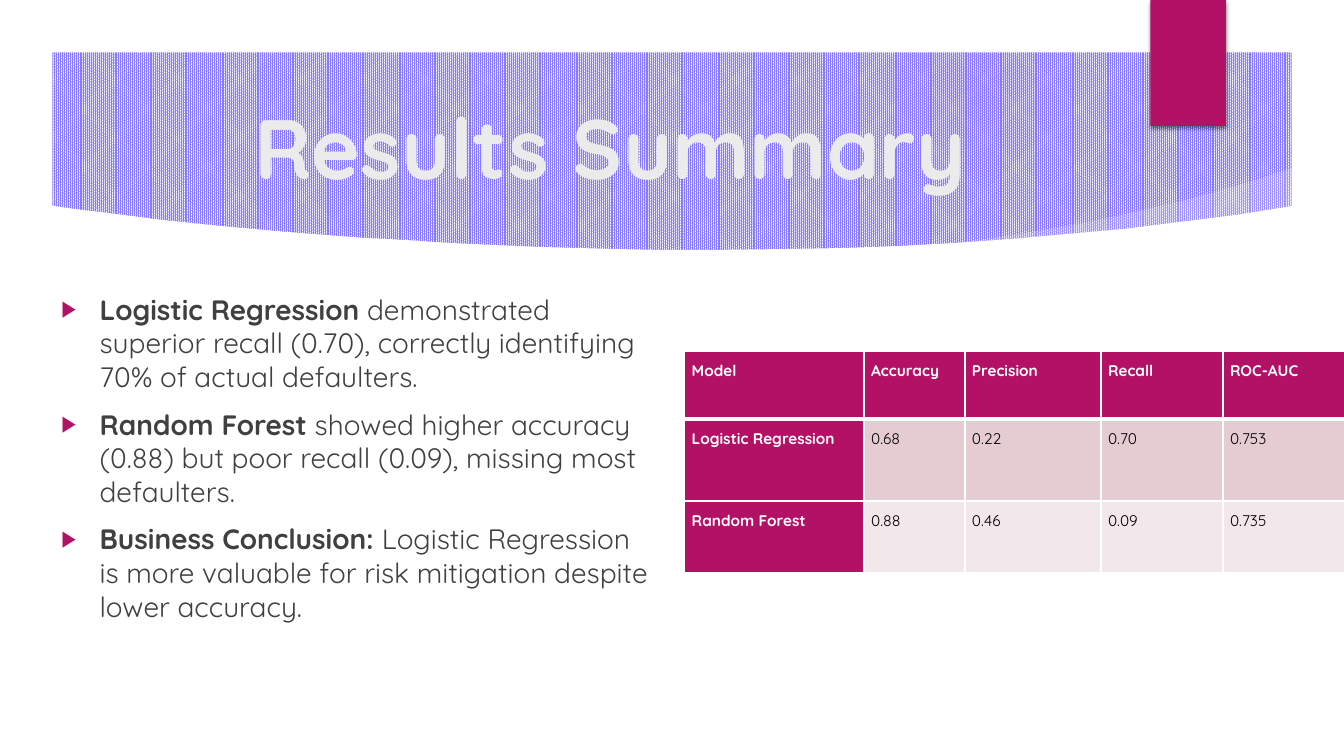
from lxml.etree import SubElement
from pptx import Presentation
from pptx.dml.color import RGBColor
from pptx.enum.dml import MSO_PATTERN
from pptx.enum.shapes import MSO_SHAPE
from pptx.enum.text import MSO_ANCHOR, MSO_AUTO_SIZE, PP_ALIGN
from pptx.oxml import parse_xml
from pptx.oxml.ns import nsdecls, qn
from pptx.util import Inches, Pt

FONT = "Quicksand"
WHITE = RGBColor(0xFF, 0xFF, 0xFF)
BLACK = RGBColor(0x00, 0x00, 0x00)
PERIWINKLE = RGBColor(0x89, 0x7A, 0xFA)
VIOLET = RGBColor(0x9B, 0x6B, 0xF2)
MAGENTA = RGBColor(0xB3, 0x11, 0x66)
TITLE_GREY = RGBColor(0xEB, 0xEB, 0xEB)
TEXT_GREY = RGBColor(0x40, 0x40, 0x40)
ROW_FILLS = [RGBColor(0xE5, 0xCC, 0xD3), RGBColor(0xF2, 0xE7, 0xEA)]

# Left, top, diameter, then (position, opacity) in percent
GLOWS = [
    (9.41, 1.83, 3.08, [(0, 7), (36, 6), (69, 0)]),
    (8.75, 0.01, 1.75, [(0, 14), (36, 7), (73, 0)]),
]
SWOOSH = [(9.34, 2.5), (11, 2.38), (12.89, 2.14), (12.83, 1.66), (12.48, 1.78),
          (12.13, 1.88), (11.78, 1.98), (11.44, 2.06), (11.09, 2.14),
          (10.75, 2.21), (10.42, 2.27), (10.1, 2.32), (9.79, 2.37), (9.3, 2.43)]
PANEL = [(0.5, 2.04), (0.5, 7), (12.84, 7), (12.84, 2.04), (12.28, 2.13),
         (11.72, 2.2), (11.16, 2.27), (10.6, 2.32), (10.04, 2.37), (9.49, 2.41),
         (8.94, 2.44), (8.4, 2.46), (7.86, 2.47), (7.08, 2.48), (6.57, 2.48),
         (6.07, 2.47), (5.35, 2.45), (4.88, 2.43), (4.44, 2.41), (4.01, 2.38),
         (3.6, 2.36), (3.21, 2.33), (2.83, 2.3), (2.16, 2.24), (1.59, 2.18),
         (1.13, 2.12), (0.79, 2.08)]

FINDINGS = [
    ("Logistic Regression",
     " demonstrated superior recall (0.70), correctly identifying 70% of actual defaulters."),
    ("Random Forest",
     " showed higher accuracy (0.88) but poor recall (0.09), missing most defaulters."),
    ("Business Conclusion:",
     " Logistic Regression is more valuable for risk mitigation despite lower accuracy."),
]
SCORES = [
    ["Model", "Accuracy", "Precision", "Recall", "ROC-AUC"],
    ["Logistic Regression", "0.68", "0.22", "0.70", "0.753"],
    ["Random Forest", "0.88", "0.46", "0.09", "0.735"],
]
COLUMN_WIDTHS = [1.78, 1, 1.35, 1.21, 1.21]
ROW_HEIGHTS = [0.67, 0.81, 0.71]


def add_run(p, text, size, color, bold=False):
    r = p.add_run()
    r.text = text
    r.font.name = FONT
    r.font.size = Pt(size)
    r.font.bold = bold
    r.font.color.rgb = color


def paint(sp, color):
    sp.fill.solid()
    sp.fill.fore_color.rgb = color
    sp.line.fill.background()
    sp.shadow.inherit = False
    return sp


def add_preset(s, kind, left, top, width, height, color):
    sp = s.shapes.add_shape(kind, Inches(left), Inches(top), Inches(width), Inches(height))
    return paint(sp, color)


def add_outline(s, points, color):
    corners = [(Inches(x), Inches(y)) for x, y in points]
    builder = s.shapes.build_freeform(*corners[0])
    builder.add_line_segments(corners[1:])
    return paint(builder.convert_to_shape(), color)


def add_glow(s, left, top, size, stops):
    sp = add_preset(s, MSO_SHAPE.OVAL, left, top, size, size, VIOLET)
    stops_xml = "".join(
        f'<a:gs pos="{pos * 1000}"><a:srgbClr val="{VIOLET}">'
        f'<a:alpha val="{alpha * 1000}"/></a:srgbClr></a:gs>' for pos, alpha in stops)
    solid = sp._element.spPr.find(qn("a:solidFill"))
    solid.getparent().replace(solid, parse_xml(
        f'<a:gradFill {nsdecls("a")}><a:gsLst>{stops_xml}</a:gsLst><a:path path="circle">'
        '<a:fillToRect l="50000" t="50000" r="50000" b="50000"/></a:path></a:gradFill>'))


def set_opacity(sp, percent):
    color = sp._element.spPr.find(qn("a:solidFill"))[0]
    SubElement(color, qn("a:alpha"), val=str(percent * 1000))


def add_drop_shadow(sp):
    effects = sp._element.spPr.find(qn("a:effectLst"))
    effects.append(parse_xml(
        f'<a:outerShdw {nsdecls("a")} blurRad="{Pt(3)}" dist="{Pt(2)}" dir="5400000" '
        'algn="t" rotWithShape="0"><a:srgbClr val="000000"><a:alpha val="45000"/>'
        '</a:srgbClr></a:outerShdw>'))


def add_title(s, text):
    title = s.shapes.title
    title.left, title.top = Inches(1.26), Inches(1.06)
    title.width, title.height = Inches(9.58), Inches(0.77)
    tf = title.text_frame
    tf.word_wrap = True
    tf.auto_size = MSO_AUTO_SIZE.NONE
    tf.vertical_anchor = MSO_ANCHOR.MIDDLE
    p = tf.paragraphs[0]
    p.alignment = PP_ALIGN.CENTER
    add_run(p, text, 60, TITLE_GREY, bold=True)
    s.shapes._spTree.append(title._element)  # bring in front of the band


def add_bullet(p):
    pPr = p._p.get_or_add_pPr()
    pPr.set("marL", str(Inches(0.38)))
    pPr.set("indent", str(-Inches(0.38)))
    color = SubElement(pPr, qn("a:buClr"))
    SubElement(color, qn("a:srgbClr"), val=str(MAGENTA))
    SubElement(pPr, qn("a:buSzPct"), val="80000")
    SubElement(pPr, qn("a:buFont"), typeface="Arial")
    SubElement(pPr, qn("a:buChar"), char="▶")


def add_findings(s):
    box = s.shapes.add_textbox(Inches(0.51), Inches(2.85), Inches(6.03), Inches(3.74))
    tf = box.text_frame
    tf.word_wrap = True
    for i, (lead, detail) in enumerate(FINDINGS):
        p = tf.add_paragraph() if i else tf.paragraphs[0]
        p.space_before = Pt(10)
        add_bullet(p)
        add_run(p, lead, 20, TEXT_GREY, bold=True)
        add_run(p, detail, 20, TEXT_GREY)


def add_borders(cell, **widths):
    tcPr = cell._tc.get_or_add_tcPr()
    for side in "LRTB":
        ln = SubElement(tcPr, qn(f"a:ln{side}"), w=str(Pt(widths.get(side, 1))))
        SubElement(SubElement(ln, qn("a:solidFill")), qn("a:srgbClr"), val=str(WHITE))


def add_scores(s):
    frame = s.shapes.add_table(len(SCORES), len(COLUMN_WIDTHS), Inches(6.79), Inches(3.49),
                               Inches(sum(COLUMN_WIDTHS)), Inches(sum(ROW_HEIGHTS)))
    table = frame.table
    for column, width in zip(table.columns, COLUMN_WIDTHS):
        column.width = Inches(width)
    for row, height in zip(table.rows, ROW_HEIGHTS):
        row.height = Inches(height)
    for i, values in enumerate(SCORES):
        for j, value in enumerate(values):
            cell = table.cell(i, j)
            heading = i == 0 or j == 0
            add_borders(cell, T=3 if i == 1 else 1, B=3 if i == 0 else 1)
            cell.fill.solid()
            cell.fill.fore_color.rgb = MAGENTA if heading else ROW_FILLS[i - 1]
            cell.margin_left = cell.margin_right = Inches(0.07)
            cell.margin_top = cell.margin_bottom = 0
            p = cell.text_frame.paragraphs[0]
            p.alignment = PP_ALIGN.JUSTIFY
            p.line_spacing = 1.5
            p.space_after = Pt(8)
            add_run(p, value, 11, WHITE if heading else BLACK, bold=heading)


def main():
    prs = Presentation()
    prs.slide_width, prs.slide_height = Inches(13.33), Inches(7.5)
    s = prs.slides.add_slide(prs.slide_layouts[5])

    # Patterned background
    fill = s.background.fill
    fill.patterned()
    fill.pattern = MSO_PATTERN.PERCENT_90
    fill.fore_color.rgb = PERIWINKLE
    fill.back_color.rgb = WHITE

    # Band decoration, white panel and frame
    for glow in GLOWS:
        add_glow(s, *glow)
    set_opacity(add_outline(s, SWOOSH, WHITE), 20)
    add_outline(s, PANEL, WHITE)
    border = add_preset(s, MSO_SHAPE.FRAME, 0, 0, 13.33, 7.5, WHITE)
    border.adjustments[0] = 0.52 / 7.5
    add_drop_shadow(add_preset(s, MSO_SHAPE.RECTANGLE, 11.41, 0, 0.75, 1.25, MAGENTA))

    # Content
    add_title(s, "Results Summary")
    add_findings(s)
    add_scores(s)
    prs.save("out.pptx")


if __name__ == "__main__":
    main()
